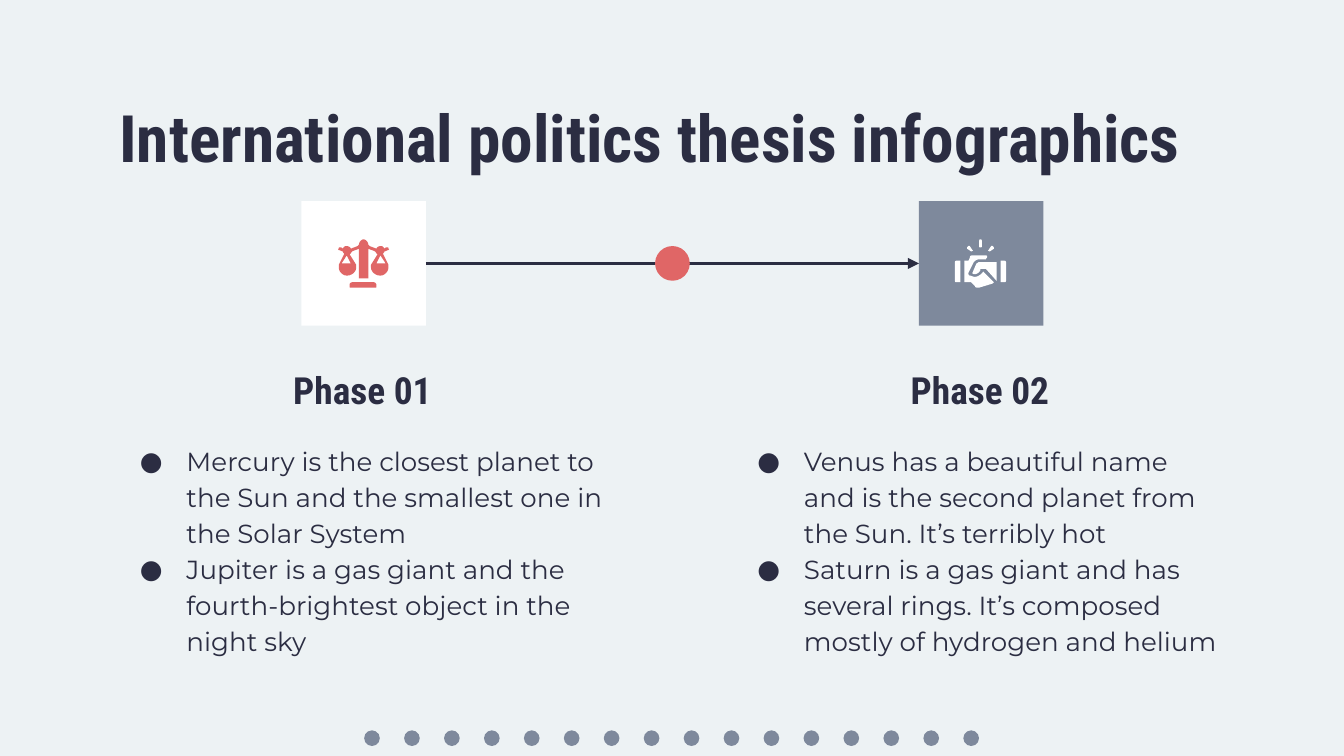
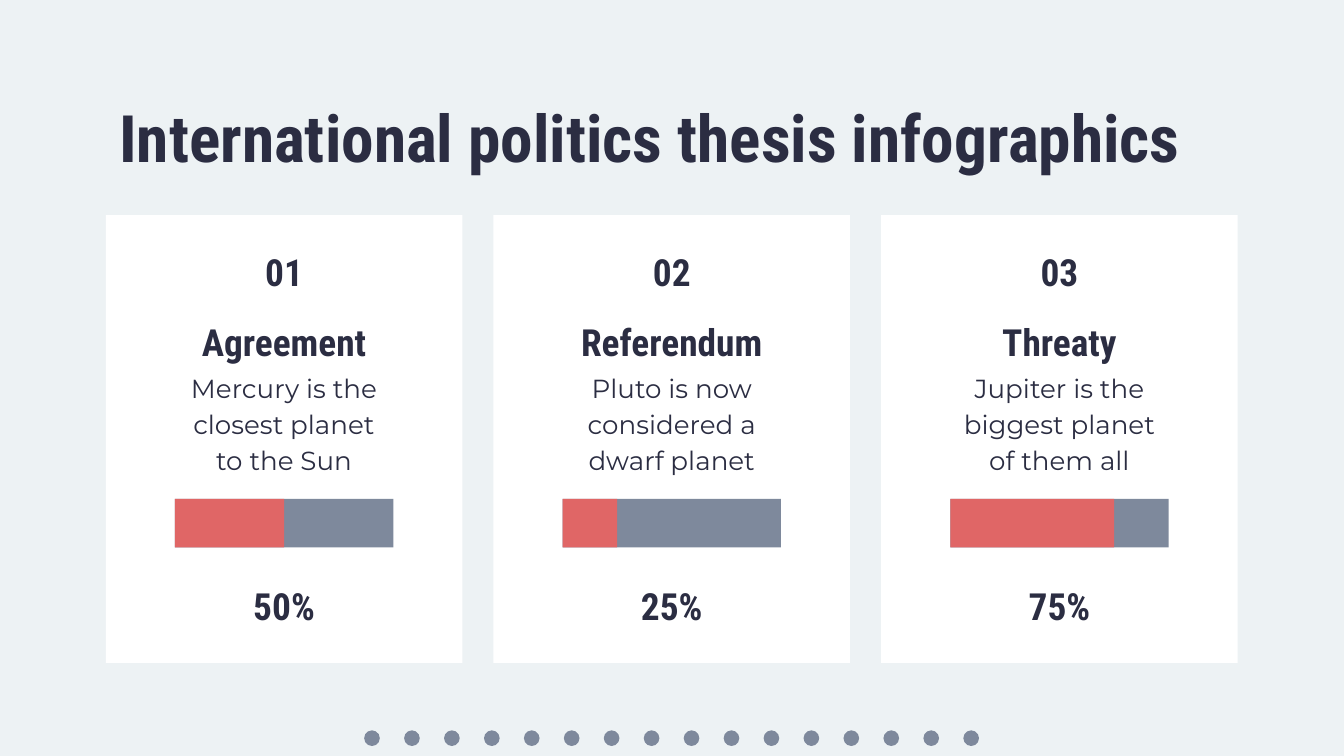
from dataclasses import dataclass

from lxml.etree import SubElement
from pptx import Presentation
from pptx.dml.color import RGBColor
from pptx.enum.shapes import MSO_CONNECTOR as Connector, MSO_SHAPE as Shape
from pptx.enum.text import MSO_ANCHOR as Anchor, MSO_AUTO_SIZE as AutoSize, PP_ALIGN as Align
from pptx.oxml.ns import qn
from pptx.util import Pt


@dataclass(frozen=True)
class Theme:
    paper: RGBColor = RGBColor.from_string("EDF2F4")
    ink: RGBColor = RGBColor.from_string("2B2D42")
    slate: RGBColor = RGBColor.from_string("7E899C")
    coral: RGBColor = RGBColor.from_string("E06666")
    white: RGBColor = RGBColor.from_string("FFFFFF")
    heading_font: str = "Roboto Condensed"
    body_font: str = "Montserrat"
    title_size: int = 35
    heading_size: int = 20
    body_size: int = 14


THEME = Theme()
TITLE = "International politics thesis infographics"
LEFT = 56.7
INSET = 7.2

TITLE_FONT = {"name": THEME.heading_font, "size": Pt(THEME.title_size), "bold": True}
HEADING_FONT = TITLE_FONT | {"size": Pt(THEME.heading_size)}
BODY_FONT = {"name": THEME.body_font, "size": Pt(THEME.body_size), "bold": False}

PHASES = [
    ("Phase 01", [
        "Mercury is the closest planet to the Sun and the smallest one in the Solar System",
        "Jupiter is a gas giant and the fourth-brightest object in the night sky",
    ]),
    ("Phase 02", [
        "Venus has a beautiful name and is the second planet from the Sun. It’s terribly hot",
        "Saturn is a gas giant and has several rings. It’s composed mostly of hydrogen and helium",
    ]),
]
CARDS = [
    ("01", "Agreement", "Mercury is the closest planet to the Sun", 0.50),
    ("02", "Referendum", "Pluto is now considered a dwarf planet", 0.25),
    ("03", "Threaty", "Jupiter is the biggest planet of them all", 0.75),
]

# Icon outlines in hundredths of an inch: pairs are lines, sixes are Bézier curves.
SCALES_HALF = [
    (19.5, 0), (18, 0, 16, 2, 16, 4), (15, 5), (13, 6, 12, 6, 10, 7),
    (10, 6, 8, 5, 7, 5), (6, 5, 5, 5, 4, 7), (3, 6, 3, 6, 2, 6), (1, 6, 1, 6, 1, 7),
    (0, 7, 1, 8, 1, 8), (2, 8, 3, 9, 4, 9), (4, 10, 5, 10, 5, 11), (1, 19), (1, 21),
    (1, 24, 4, 27, 7, 27), (11, 27, 14, 24, 14, 21), (14, 19), (9, 11),
    (10, 11, 10, 10, 11, 9), (13, 8, 14, 8, 16, 7), (16, 29),
]
SCALES_HOLE = [(7, 12), (10, 18), (3, 18)]
SCALES_BASE_HALF = [(11, 32), (10, 32, 9, 33, 9, 34), (9, 35), (9, 36, 9, 36, 10, 36)]
TOP_SPARK_HALF = [(19, 0), (18, 0, 18, 1, 18, 2), (18, 5), (18, 6, 18, 6, 19, 6)]
SIDE_SPARK = [(10, 5), (9, 6, 9, 6, 9, 7), (12, 9), (13, 9, 14, 8, 13, 8), (11, 5)]
CUFF = [(1, 16), (0, 16, 0, 17, 0, 17), (0, 31), (0, 31, 0, 32, 1, 32), (4, 32), (4, 16)]
UPPER_HAND = [
    (18, 17), (17, 17, 17, 18, 16, 18), (13, 25), (13, 26, 14, 26, 15, 26),
    (16, 26, 18, 25, 19, 23), (19, 22), (21, 22), (22, 22, 23, 22, 23, 22),
    (31, 31), (31, 17),
]
LOWER_HAND = [
    (14, 12), (12, 12, 11, 12, 11, 14), (10, 16), (7, 16), (7, 32), (12, 32), (15, 35),
    (15, 36, 16, 36, 17, 36), (18, 36), (28, 33), (28, 33, 29, 32, 29, 32), (21, 24),
    (20, 26, 17, 28, 15, 28), (13, 28, 12, 27, 11, 27), (10, 27, 10, 26, 10, 25),
    (14, 17), (15, 16, 16, 15, 18, 15), (23, 15), (23, 14, 24, 14, 24, 13),
    (24, 12, 23, 12, 22, 12),
]


def flatten(outline, steps=6):
    """Turn lines and cubic curves into a list of points."""
    points = []
    for segment in outline:
        if len(segment) == 2:
            points.append(segment)
            continue
        start, (x1, y1, x2, y2, x3, y3) = points[-1], segment
        for step in range(1, steps + 1):
            t = step / steps
            weights = ((1 - t) ** 3, 3 * t * (1 - t) ** 2, 3 * t * t * (1 - t), t ** 3)
            points.append(tuple(
                sum(weight * value for weight, value in zip(weights, values))
                for values in ((start[0], x1, x2, x3), (start[1], y1, y2, y3))
            ))
    return points


def mirror(points, width):
    return [(width - x, y) for x, y in reversed(points)]


def symmetric(half, width):
    points = flatten(half)
    return points + mirror(points, width)


def scales_icon():
    return [
        [symmetric(SCALES_HALF, 39), SCALES_HOLE, mirror(SCALES_HOLE, 39)],
        [symmetric(SCALES_BASE_HALF, 38)],
    ]


def handshake_icon():
    sides = [flatten(SIDE_SPARK), flatten(CUFF)]
    parts = sides + [mirror(side, 38) for side in sides]
    parts += [symmetric(TOP_SPARK_HALF, 38), flatten(UPPER_HAND), flatten(LOWER_HAND)]
    return [[part] for part in parts]


def paint(shape, color):
    shape.shadow.inherit = False
    shape.fill.solid()
    shape.fill.fore_color.rgb = color
    shape.line.fill.background()


def add_block(slide, kind, left, top, width, height, color):
    block = slide.shapes.add_shape(kind, Pt(left), Pt(top), Pt(width), Pt(height))
    paint(block, color)
    return block


def add_icon(slide, left, top, parts, color):
    """Draw each part as one freeform; its extra contours become holes."""
    for contours in parts:
        placed = [[(Pt(left + x * 0.72), Pt(top + y * 0.72)) for x, y in contour]
                  for contour in contours]
        builder = slide.shapes.build_freeform(*placed[0][0])
        builder.add_line_segments(placed[0][1:], close=True)
        for hole in placed[1:]:
            builder.move_to(*hole[0])
            builder.add_line_segments(hole[1:], close=True)
        paint(builder.convert_to_shape(), color)


def add_arrow(slide, start, end, y):
    arrow = slide.shapes.add_connector(Connector.STRAIGHT, Pt(start), Pt(y), Pt(end), Pt(y))
    arrow.line.color.rgb = THEME.ink
    arrow.line.width = Pt(1.5)
    SubElement(arrow.line._get_or_add_ln(), qn("a:tailEnd"), type="triangle")
    SubElement(arrow.element.spPr, qn("a:effectLst"))


def add_bullet(para):
    properties = para._p.get_or_add_pPr()
    for name, value in {"marL": Pt(36), "indent": Pt(-25)}.items():
        properties.set(name, str(value))
    color = SubElement(properties, qn("a:buClr"))
    SubElement(color, qn("a:srgbClr"), val=str(THEME.ink))
    SubElement(properties, qn("a:buFont"), typeface=THEME.body_font)
    SubElement(properties, qn("a:buChar"), char="●")


def write(box, bounds, lines, font, align=Align.LEFT, anchor=Anchor.TOP,
          spacing=1.0, bullets=False):
    """Place a text box or placeholder and fill it with formatted paragraphs."""
    for side, value in zip(("left", "top", "width", "height"), bounds):
        setattr(box, side, Pt(value))
    frame = box.text_frame
    frame_format = {"word_wrap": True, "auto_size": AutoSize.NONE, "vertical_anchor": anchor}
    frame_format |= {f"margin_{side}": Pt(INSET) for side in ("left", "top", "right", "bottom")}
    for name, value in frame_format.items():
        setattr(frame, name, value)
    for index, line in enumerate(lines):
        para = frame.add_paragraph() if index else frame.paragraphs[0]
        if bullets:
            add_bullet(para)
        para_format = {"alignment": align, "line_spacing": spacing,
                       "space_before": Pt(0), "space_after": Pt(0)}
        for name, value in para_format.items():
            setattr(para, name, value)
        span = para.add_run()
        span.text = line
        for name, value in font.items():
            setattr(span.font, name, value)
        span.font.color.rgb = THEME.ink


def add_text(slide, bounds, text, font, **layout):
    box = slide.shapes.add_textbox(0, 0, 0, 0)
    write(box, bounds, [text], font, align=Align.CENTER, **layout)


def add_heading(slide, bounds, text):
    add_text(slide, bounds, text, HEADING_FONT, anchor=Anchor.MIDDLE)


def add_titled_slide(deck, layout_name):
    slide = deck.slides.add_slide(deck.slide_layouts.get_by_name(layout_name))
    write(slide.shapes.title, (LEFT, 44.7, 606.3, 44.7), [TITLE], TITLE_FONT)
    return slide


def add_master_dots(deck, slide):
    """Draw the footer dots on a slide, then move them to the master."""
    for index in range(16):
        dot = add_block(slide, Shape.OVAL, 195.1 + 21.4 * index, 391.3, 8.4, 8.4, THEME.slate)
        dot.element.nvSpPr.cNvPr.id = 100 + index
        deck.slide_master.shapes.element.append(dot.element)


def build_phases(slide):
    pitch, column, square, square_left, square_top = 330.8, 275, 66.7, 161.5, 107.8
    middle = square_top + square / 2
    looks = [(THEME.white, THEME.coral, scales_icon()),
             (THEME.slate, THEME.white, handshake_icon())]
    for index, ((name, facts), (back, front, icon)) in enumerate(zip(PHASES, looks)):
        left = LEFT + index * pitch
        tile_left = square_left + index * pitch
        add_block(slide, Shape.RECTANGLE, tile_left, square_top, square, square, back)
        add_icon(slide, tile_left + 19.3, square_top + 20.4, icon, front)
        add_heading(slide, (left, 186.5, column, 44), name)
        write(slide.placeholders[index + 1], (left, 229, column, 120), facts, BODY_FONT,
              spacing=1.15, bullets=True)
    start, end, dot = square_left + square, square_left + pitch, 18.6
    add_arrow(slide, start, end, middle)
    add_block(slide, Shape.OVAL, (start + end - dot) / 2, middle - dot / 2, dot, dot,
              THEME.coral)


def build_cards(slide):
    card, pitch, bar, label = 191, 207.7, 117, 60
    for index, (number, name, fact, share) in enumerate(CARDS):
        left = LEFT + index * pitch
        bar_left = left + (card - bar) / 2
        label_left = left + (card - label) / 2
        add_block(slide, Shape.RECTANGLE, left, 115.2, card, 240, THEME.white)
        add_heading(slide, (label_left, 125.5, label, 39.5), number)
        add_heading(slide, (bar_left, 163, bar, 39.5), name)
        add_text(slide, (bar_left, 190, bar, 68.5), fact, BODY_FONT, spacing=1.15)
        for width, color in ((bar, THEME.slate), (bar * share, THEME.coral)):
            add_block(slide, Shape.RECTANGLE, bar_left, 267.3, width, 26, color)
        add_heading(slide, (label_left, 311.2, label, 26), f"{share:.0%}")


def main():
    deck = Presentation()
    deck.slide_width, deck.slide_height = Pt(720), Pt(405)
    background = deck.slide_master.background.fill
    background.solid()
    background.fore_color.rgb = THEME.paper
    phases = add_titled_slide(deck, "Two Content")
    add_master_dots(deck, phases)
    build_phases(phases)
    build_cards(add_titled_slide(deck, "Title Only"))
    deck.save("out.pptx")


if __name__ == "__main__":
    main()
